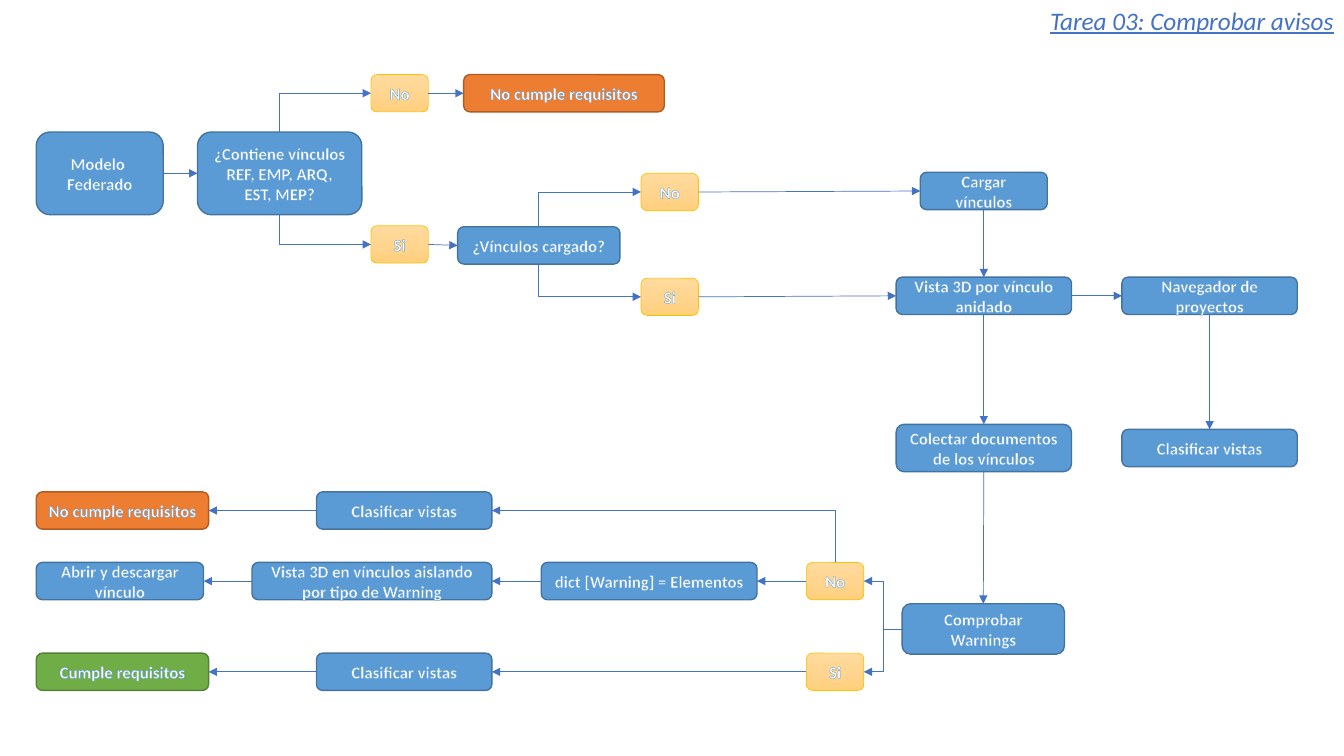
from copy import deepcopy

from lxml.etree import SubElement as Sub
from pptx import Presentation
from pptx.dml.color import RGBColor
from pptx.enum.shapes import MSO_CONNECTOR as Wire, MSO_SHAPE as Form
from pptx.enum.text import MSO_ANCHOR as Anchor, PP_ALIGN as Align
from pptx.oxml.ns import qn
from pptx.util import Inches, Pt

FONT = "Calibri"
BLUE, WHITE, INK = "5B9BD5", "FFFFFF", "4472C4"
AMBER = ("FFDB9E", "FFD590", "FFD07C")
STYLES = {
    "step": (BLUE, "43739E", 1),
    "fail": ("ED7D31", "AF5C24", 1),
    "pass": ("70AD47", "538035", 1),
    "answer": (AMBER, "FFC000", 0.5),
}
ROW = 3.7
TOP, LEFT, BASE, RIGHT = range(4)

NODES = [
    ("model", "Modelo \nFederado", 3.6, 13.1, 12.6, 8.2, "step"),
    ("links", "¿Contiene vínculos\nREF, EMP, ARQ, EST, MEP?",
     19.6, 13.1, 16.3, 8.2, "step"),
    ("links no", "No", 36.8, 7.4, 5.7, ROW, "answer"),
    ("links si", "Si", 36.8, 22.4, 5.7, ROW, "answer"),
    ("no links", "No cumple requisitos", 46, 7.4, 19.9, ROW, "fail"),
    ("loaded", "¿Vínculos cargado?", 45.4, 22.5, 16.1, ROW, "step"),
    ("load no", "No", 63.6, 17.2, 5.7, ROW, "answer"),
    ("load si", "Si", 63.6, 27.6, 5.7, ROW, "answer"),
    ("load", "Cargar vínculos", 91.3, 17.1, 12.6, ROW, "step"),
    ("view", "Vista 3D por vínculo anidado", 88.9, 27.5, 17.4, ROW, "step"),
    ("browser", "Navegador de proyectos", 111.3, 27.5, 17.4, ROW, "step"),
    ("sort", "Clasificar vistas", 111.3, 42.6, 17.4, ROW, "step"),
    ("collect", "Colectar documentos de los vínculos",
     88.9, 42.1, 17.4, 4.7, "step"),
    ("check", "Comprobar Warnings", 89.5, 59.9, 16.1, 5, "step"),
    ("check no", "No", 80, 55.8, 5.7, ROW, "answer"),
    ("check si", "Si", 80, 64.8, 5.7, ROW, "answer"),
    ("dict", "dict [Warning] = Elementos", 53.7, 55.8, 21.4, ROW, "step"),
    ("isolate", "Vista 3D en vínculos aislando por tipo de Warning",
     25, 55.8, 23.8, ROW, "step"),
    ("open", "Abrir y descargar vínculo", 3.6, 55.8, 16.6, ROW, "step"),
    ("sort no", "Clasificar vistas", 31.4, 48.8, 17.4, ROW, "step"),
    ("sort si", "Clasificar vistas", 31.4, 64.8, 17.4, ROW, "step"),
    ("bad", "No cumple requisitos", 3.6, 48.8, 17.1, ROW, "fail"),
    ("good", "Cumple requisitos", 3.6, 64.8, 17.1, ROW, "pass"),
]

CHAINS = [
    (RIGHT, LEFT, ["model", "links"]),
    (RIGHT, LEFT, ["links no", "no links"]),
    (RIGHT, LEFT, ["links si", "loaded"]),
    (RIGHT, LEFT, ["load no", "load"]),
    (RIGHT, LEFT, ["load si", "view", "browser"]),
    (BASE, TOP, ["load", "view", "collect", "check"]),
    (BASE, TOP, ["browser", "sort"]),
    (LEFT, RIGHT, ["check no", "dict", "isolate", "open"]),
    (LEFT, RIGHT, ["check si", "sort si", "good"]),
    (LEFT, RIGHT, ["sort no", "bad"]),
]
TURNS = [
    ("links", TOP, "links no", LEFT),
    ("links", BASE, "links si", LEFT),
    ("loaded", TOP, "load no", LEFT),
    ("loaded", BASE, "load si", LEFT),
    ("check no", TOP, "sort no", RIGHT),
]
FORKS = ["check no", "check si"]


def cell(count):
    """Turn grid cells, ten to the inch, into a length."""
    return Inches(count / 10)


def tint(code):
    """Turn a hex string into a colour."""
    return RGBColor.from_string(code)


def blend(shape, codes):
    """Fill a shape from top to bottom with evenly spaced colours."""
    shape.fill.gradient()
    shape.fill.gradient_angle = 270
    stops = shape._element.spPr.find(".//" + qn("a:gsLst"))
    stops.insert(1, deepcopy(stops[0]))
    for spot, (stop, code) in enumerate(zip(shape.fill.gradient_stops, codes)):
        stop.color.rgb = tint(code)
        stop.position = spot / (len(codes) - 1)


def write(para, text, size, code):
    """Add one run to a paragraph and return it."""
    run = para.add_run()
    run.text = text
    run.font.name, run.font.size = FONT, Pt(size)
    run.font.color.rgb = tint(code)
    return run


def edge(run, code, width):
    """Outline the letters of a run."""
    line = Sub(run.font._element, qn("a:ln"), w=str(Pt(width)))
    fill = Sub(line, qn("a:solidFill"))
    Sub(fill, qn("a:srgbClr"), val=code)
    run.font._element.insert(0, line)


def node(slide, text, col, row, wide, tall, style):
    """Draw one rounded box of the flow."""
    shape = slide.shapes.add_shape(
        Form.ROUNDED_RECTANGLE, cell(col), cell(row), cell(wide), cell(tall))
    shape.shadow.inherit = False
    fill, line, width = STYLES[style]
    if isinstance(fill, tuple):
        blend(shape, fill)
    else:
        shape.fill.solid()
        shape.fill.fore_color.rgb = tint(fill)
    shape.line.color.rgb = tint(line)
    shape.line.width = Pt(width)
    frame = shape.text_frame
    frame.word_wrap = True
    frame.vertical_anchor = Anchor.MIDDLE
    for spot, part in enumerate(text.split("\n")):
        para = frame.add_paragraph() if spot else frame.paragraphs[0]
        para.alignment = Align.CENTER
        run = write(para, part, 12, WHITE)
        run.font.bold = True
        edge(run, BLUE, 0.8)
    return shape


def arrow(slide, start, out, end, into, kind=Wire.STRAIGHT):
    """Join two boxes with an arrow."""
    line = slide.shapes.add_connector(kind, 0, 0, 0, 0)
    line.begin_connect(start, out)
    line.end_connect(end, into)
    line.line.color.rgb = tint(INK)
    line.line.width = Pt(0.5)
    Sub(line.line._get_or_add_ln(), qn("a:tailEnd"), type="triangle")
    Sub(line._element.spPr, qn("a:effectLst"))
    return line


def turn(slide, start, out, end, into):
    """Join two boxes with one corner, leaving upright."""
    line = arrow(slide, start, out, end, into, Wire.ELBOW)
    wide, tall = line.end_x - line.begin_x, line.end_y - line.begin_y
    midx, midy = line.begin_x + wide // 2, line.begin_y + tall // 2
    line.begin_x, line.end_x = midx - tall // 2, midx + tall // 2
    line.begin_y, line.end_y = midy + wide // 2, midy - wide // 2
    line.rotation = 90
    line._element.spPr.find(qn("a:prstGeom")).set("prst", "bentConnector2")


def title(slide, text):
    """Write the heading in the top right corner."""
    box = slide.shapes.add_textbox(cell(99.1), 0, cell(34.2), cell(4))
    box.text_frame.word_wrap = True
    para = box.text_frame.paragraphs[0]
    para.alignment = Align.RIGHT
    font = write(para, text, 18, INK).font
    font.italic = font.underline = True


def main():
    """Build the slide and save it."""
    deck = Presentation()
    deck.slide_width, deck.slide_height = cell(133.33), cell(75)
    slide = deck.slides.add_slide(deck.slide_layouts[6])
    title(slide, "Tarea 03: Comprobar avisos")
    nodes = {name: node(slide, *rest) for name, *rest in NODES}
    for out, into, names in CHAINS:
        for start, end in zip(names, names[1:]):
            arrow(slide, nodes[start], out, nodes[end], into)
    for start, out, end, into in TURNS:
        turn(slide, nodes[start], out, nodes[end], into)
    for end in FORKS:
        arrow(slide, nodes["check"], LEFT, nodes[end], RIGHT, Wire.ELBOW)
    deck.save("out.pptx")


main()
